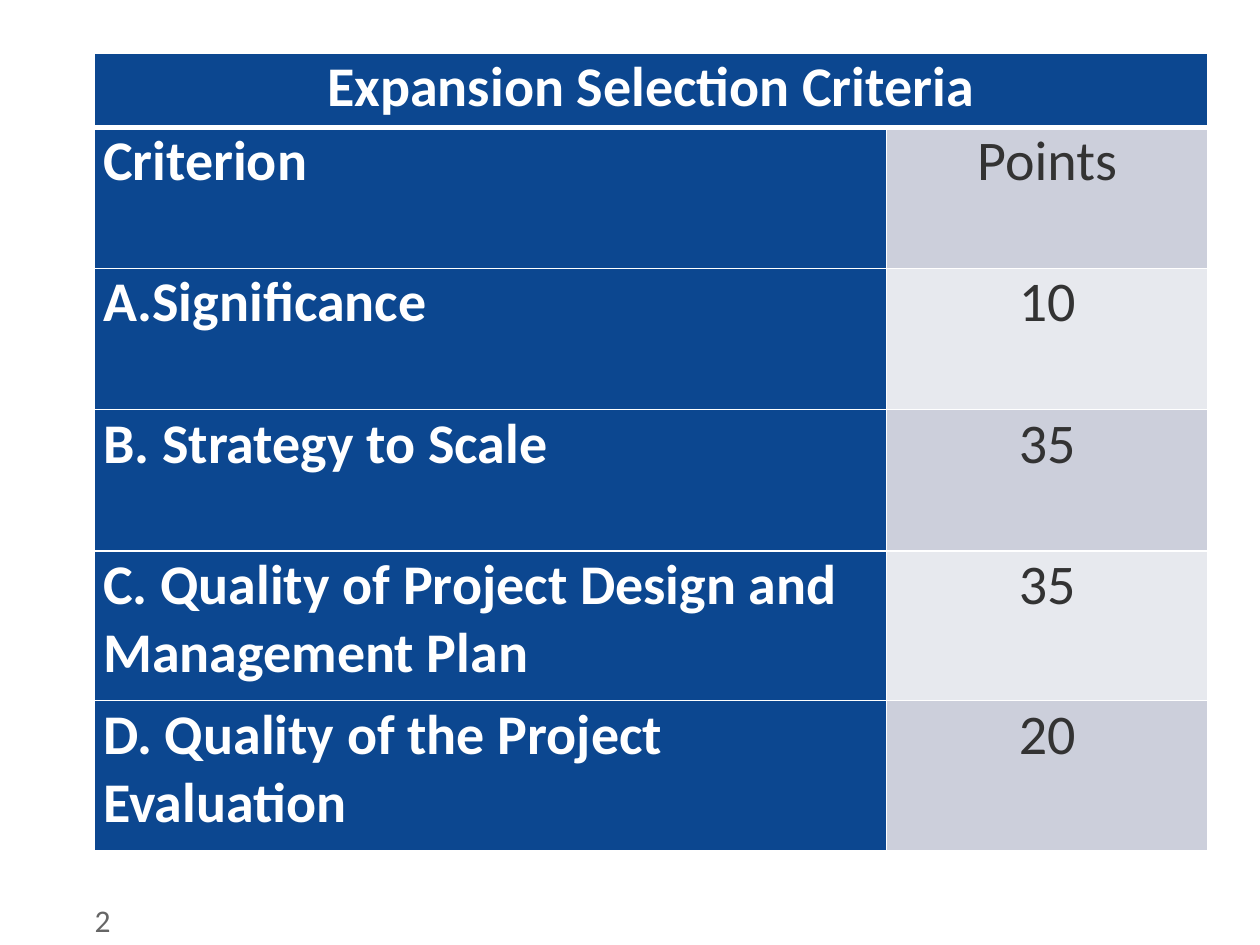
"""Build the Expansion Selection Criteria points table slide."""
from lxml.etree import SubElement
from pptx import Presentation
from pptx.dml.color import RGBColor
from pptx.enum.text import MSO_ANCHOR as Anchor, PP_ALIGN as Align
from pptx.oxml.ns import qn
from pptx.util import Pt

COLORS = {
    "blue": "0C4790",
    "dark band": "CCCFDB",
    "light band": "E7E9EE",
    "white": "FFFFFF",
    "text": "333333",
    "number": "666666",
}
CRITERIA = [
    ("Criterion", "Points"),
    ("Significance", "10"),
    ("B. Strategy to Scale", "35"),
    ("C. Quality of Project Design and Management Plan", "35"),
    ("D. Quality of the Project Evaluation", "20"),
]
COLUMN_WIDTHS = [452.7, 183.4]
ROW_HEIGHTS = [42.5, 80.7, 80.7, 80.7, 85.6, 85.6]


def add_text(paragraph, text, size, color, bold=False):
    run = paragraph.add_run()
    run.text = text
    run.font.name = "Calibri"
    run.font.size = Pt(size)
    run.font.bold = bold
    run.font.color.rgb = RGBColor.from_string(COLORS[color])


def style_cell(cell, fill, bottom_width=1):
    cell.margin_left = cell.margin_right = Pt(5)
    cell.margin_top = cell.margin_bottom = Pt(0)
    cell.vertical_anchor = Anchor.TOP
    properties = cell._tc.get_or_add_tcPr()
    for side in "LRTB":
        width = bottom_width if side == "B" else 1
        line = SubElement(properties, qn(f"a:ln{side}"), w=str(Pt(width)))
        solid = SubElement(line, qn("a:solidFill"))
        SubElement(solid, qn("a:srgbClr"), val=COLORS["white"])
    cell.fill.solid()
    cell.fill.fore_color.rgb = RGBColor.from_string(COLORS[fill])


presentation = Presentation()
presentation.slide_width, presentation.slide_height = Pt(720), Pt(540)
slide = presentation.slides.add_slide(presentation.slide_layouts[6])

number_box = slide.shapes.add_textbox(Pt(54), Pt(511.2), Pt(41.8), Pt(28.8))
number_frame = number_box.text_frame
number_frame.word_wrap = True
number_frame.margin_left = number_frame.margin_right = Pt(0)
add_text(number_frame.paragraphs[0], "2", 18, "number")

table = slide.shapes.add_table(
    len(ROW_HEIGHTS), len(COLUMN_WIDTHS), Pt(54), Pt(30.3), Pt(sum(COLUMN_WIDTHS)), Pt(sum(ROW_HEIGHTS))
).table
for column, width in zip(table.columns, COLUMN_WIDTHS):
    column.width = Pt(width)
for row, height in zip(table.rows, ROW_HEIGHTS):
    row.height = Pt(height)

for heading_cell in table.rows[0].cells:
    style_cell(heading_cell, "blue", bottom_width=3)
heading = table.cell(0, 0)
heading.merge(table.cell(0, 1))
heading_paragraph = heading.text_frame.paragraphs[0]
heading_paragraph.alignment = Align.CENTER
add_text(heading_paragraph, "Expansion Selection Criteria", 32, "white", bold=True)

for index, (criterion, points) in enumerate(CRITERIA, start=1):
    criterion_cell, points_cell = table.rows[index].cells
    style_cell(criterion_cell, "blue")
    style_cell(points_cell, "dark band" if index % 2 else "light band")
    criterion_paragraph = criterion_cell.text_frame.paragraphs[0]
    if criterion == "Significance":
        paragraph_properties = criterion_paragraph._p.get_or_add_pPr()
        paragraph_properties.set("marL", str(Pt(27)))
        paragraph_properties.set("indent", str(Pt(-27)))
        SubElement(paragraph_properties, qn("a:buFont"), typeface="+mj-lt")
        SubElement(paragraph_properties, qn("a:buAutoNum"), type="alphaUcPeriod")
    add_text(criterion_paragraph, criterion, 32, "white", bold=True)
    points_paragraph = points_cell.text_frame.paragraphs[0]
    points_paragraph.alignment = Align.CENTER
    add_text(points_paragraph, points, 32, "text")

presentation.save("out.pptx")
